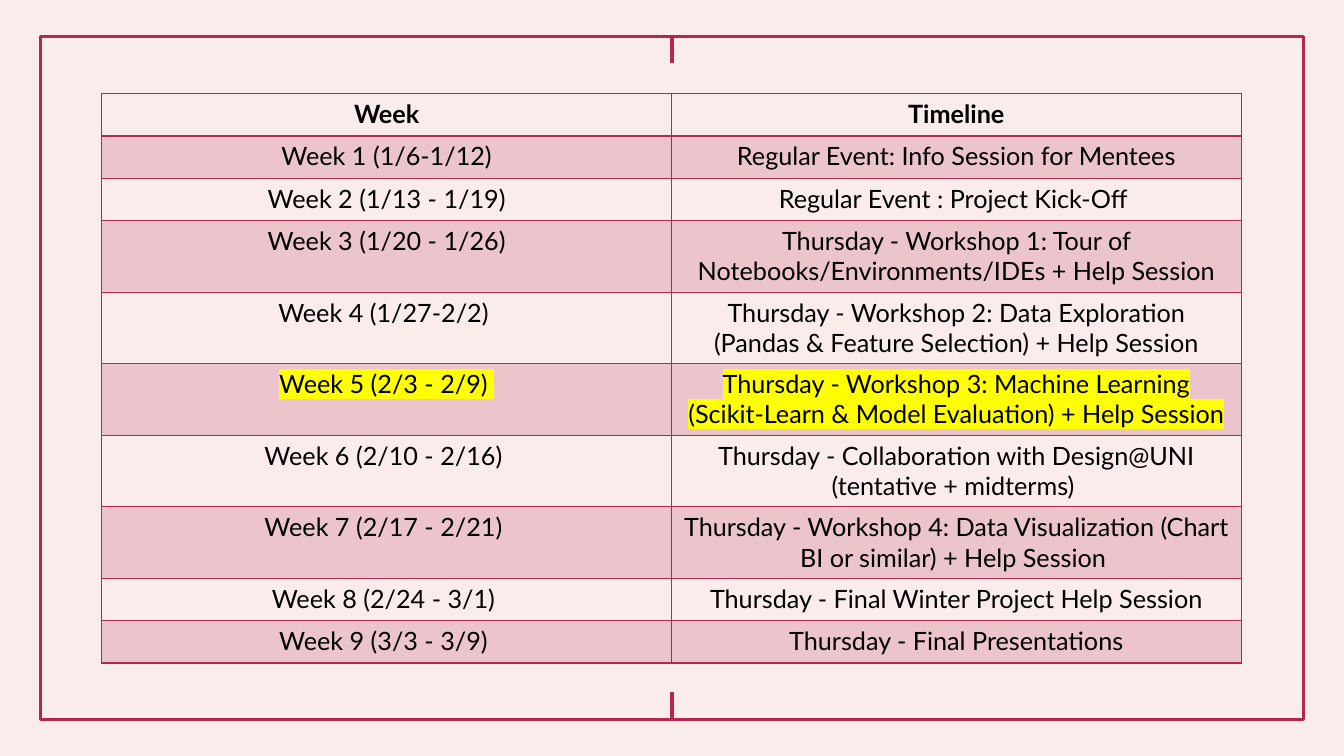
from lxml import etree
from pptx import Presentation
from pptx.dml.color import RGBColor
from pptx.enum.shapes import MSO_CONNECTOR, MSO_SHAPE
from pptx.enum.text import PP_ALIGN
from pptx.oxml.ns import qn
from pptx.util import Inches, Pt

HEADINGS = ("Week", "Timeline")
SCHEDULE = [
    ("Week 1 (1/6-1/12)", "Regular Event: Info Session for Mentees"),
    ("Week 2 (1/13 - 1/19)", "Regular Event : Project Kick-Off "),
    ("Week 3 (1/20 - 1/26)",
     "Thursday - Workshop 1: Tour of Notebooks/Environments/IDEs + Help Session"),
    ("Week 4 (1/27-2/2) ",
     "Thursday - Workshop 2: Data Exploration (Pandas & Feature Selection) + Help Session"),
    ("Week 5 (2/3 - 2/9) ",
     "Thursday - Workshop 3: Machine Learning (Scikit-Learn & Model Evaluation) + Help Session"),
    ("Week 6 (2/10 - 2/16) ",
     "Thursday - Collaboration with Design@UNI (tentative + midterms) "),
    ("Week 7 (2/17 - 2/21) ",
     "Thursday - Workshop 4: Data Visualization (Chart BI or similar) + Help Session "),
    ("Week 8 (2/24 - 3/1) ", "Thursday - Final Winter Project Help Session"),
    ("Week 9 (3/3 - 3/9) ", "Thursday - Final Presentations"),
]
CURRENT_WEEK = 5
TWO_LINE_WEEKS = range(3, 8)

BLACK = RGBColor(0x00, 0x00, 0x00)
BLUSH = RGBColor(0xFA, 0xEC, 0xEB)
CRIMSON = RGBColor(0xB3, 0x27, 0x52)
YELLOW = RGBColor(0xFF, 0xFF, 0x00)
CENTER = PP_ALIGN.CENTER
STRAIGHT = MSO_CONNECTOR.STRAIGHT
RECTANGLE = MSO_SHAPE.RECTANGLE

WIDTH, HEIGHT = Inches(13.33), Inches(7.5)
FRAME_X, FRAME_Y = Inches(0.4), Inches(0.36)
FRAME_LINE = Pt(2.25)
TICK = Inches(0.27)
TABLE_X, TABLE_Y = Inches(1.01), Inches(0.93)
COLUMN = Inches(5.65)
ONE_LINE, TWO_LINES = Inches(0.42), Inches(0.71)
THIN, THICK = Pt(1), Pt(2)
BAND_ALPHA = "20000"


def draw_frame(slide):
    """Outline the slide, with a short tick at the middle of its top and bottom."""
    frame = slide.shapes.add_shape(
        RECTANGLE, FRAME_X, FRAME_Y, WIDTH - 2 * FRAME_X, HEIGHT - 2 * FRAME_Y)
    frame.shadow.inherit = False
    frame.fill.background()
    frame.line.color.rgb = CRIMSON
    frame.line.width = FRAME_LINE
    middle = WIDTH // 2
    for edge, inward, site in ((FRAME_Y, TICK, 0), (HEIGHT - FRAME_Y, -TICK, 2)):
        tick = slide.shapes.add_connector(STRAIGHT, middle, edge, middle, edge + inward)
        tick.begin_connect(frame, site)
        tick.line.color.rgb = CRIMSON
        tick.line.width = FRAME_LINE
        etree.SubElement(tick._element.spPr, qn("a:effectLst"))


def add_color(parent, tag, color):
    holder = etree.SubElement(parent, qn(tag))
    etree.SubElement(holder, qn("a:srgbClr"), val=str(color))
    return holder


def write_cell(cell, text, bold, highlighted):
    paragraph = cell.text_frame.paragraphs[0]
    paragraph.alignment = CENTER
    run = paragraph.add_run()
    run.text = text
    for name, value in {"size": Pt(18), "bold": bold, "name": "Lato"}.items():
        setattr(run.font, name, value)
    run.font.color.rgb = BLACK
    if highlighted:
        properties = run.font._element
        mark = add_color(properties, "a:highlight", YELLOW)
        properties.find(qn("a:solidFill")).addnext(mark)


def paint_cell(cell, banded):
    if not banded:
        cell.fill.background()
        return
    cell.fill.solid()
    cell.fill.fore_color.rgb = CRIMSON
    color = cell._tc.tcPr.find(".//" + qn("a:srgbClr"))
    etree.SubElement(color, qn("a:alpha"), val=BAND_ALPHA)


def border_cell(cell, top, bottom):
    """Rule all four sides; the schema wants the borders ahead of the fill."""
    properties = cell._tc.get_or_add_tcPr()
    sides = {"a:lnL": THIN, "a:lnR": THIN, "a:lnT": top, "a:lnB": bottom}
    for position, (tag, width) in enumerate(sides.items()):
        border = etree.SubElement(properties, qn(tag), w=str(width))
        add_color(border, "a:solidFill", CRIMSON)
        properties.insert(position, border)


def draw_schedule(slide):
    rows = [HEADINGS] + SCHEDULE
    heights = [TWO_LINES if week in TWO_LINE_WEEKS else ONE_LINE
               for week in range(len(rows))]
    table = slide.shapes.add_table(
        len(rows), len(HEADINGS), TABLE_X, TABLE_Y,
        COLUMN * len(HEADINGS), sum(heights)).table
    table.first_row = table.horz_banding = False
    for week, (texts, height) in enumerate(zip(rows, heights)):
        table.rows[week].height = height
        for column, text in enumerate(texts):
            cell = table.cell(week, column)
            write_cell(cell, text, week == 0, week == CURRENT_WEEK)
            paint_cell(cell, week % 2 == 1)
            border_cell(cell, THICK if week == 1 else THIN, THICK if week == 0 else THIN)


def main():
    deck = Presentation()
    deck.slide_width, deck.slide_height = WIDTH, HEIGHT
    slide = deck.slides.add_slide(deck.slide_layouts[6])
    slide.background.fill.solid()
    slide.background.fill.fore_color.rgb = BLUSH
    draw_frame(slide)
    draw_schedule(slide)
    deck.save("out.pptx")


if __name__ == "__main__":
    main()
